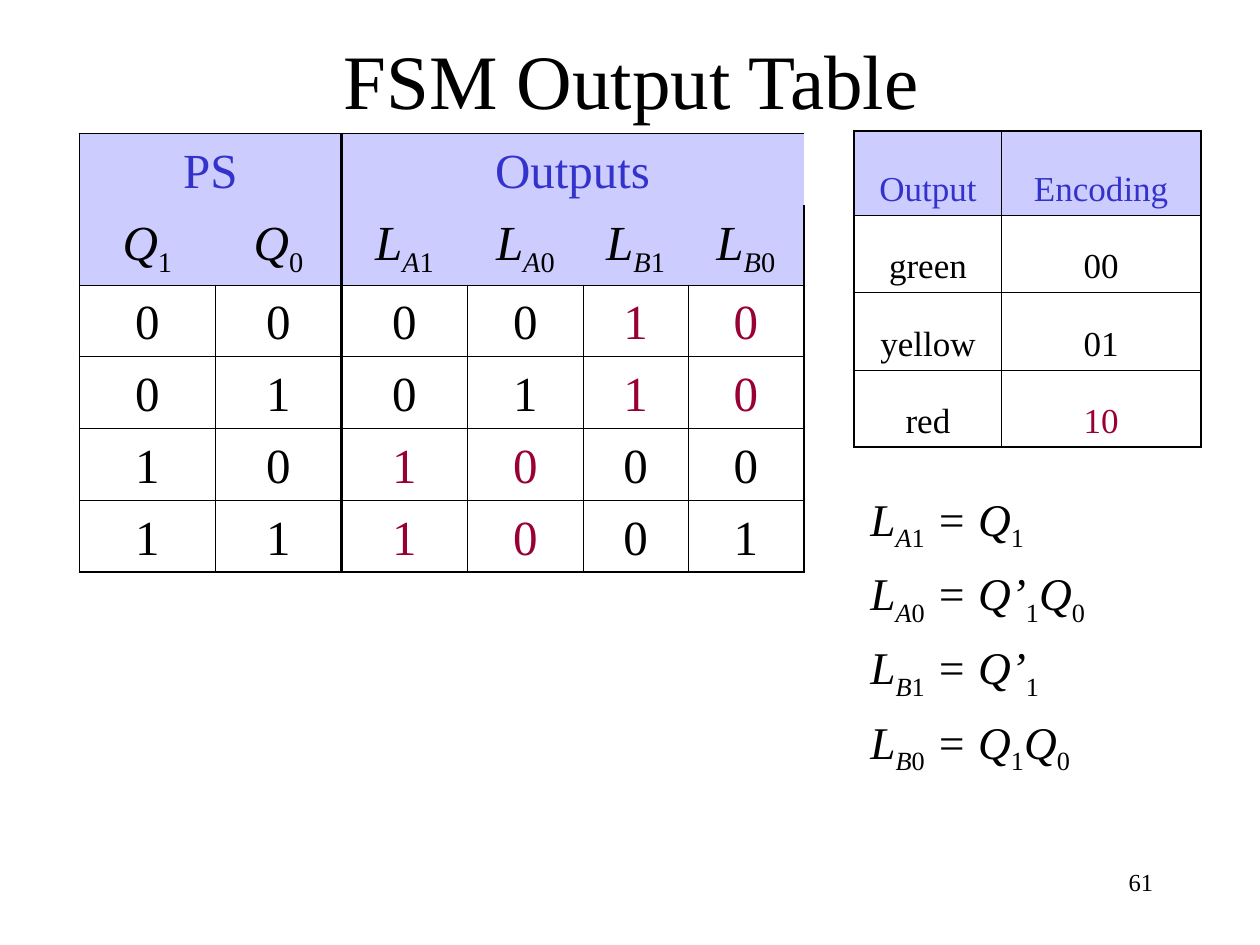
from itertools import groupby

from lxml import etree
from pptx import Presentation
from pptx.dml.color import RGBColor
from pptx.enum.text import MSO_ANCHOR, PP_ALIGN
from pptx.oxml.ns import qn
from pptx.util import Inches, Pt

LEFT, CENTER, RIGHT = PP_ALIGN.LEFT, PP_ALIGN.CENTER, PP_ALIGN.RIGHT
TOP, MIDDLE, BOTTOM = MSO_ANCHOR.TOP, MSO_ANCHOR.MIDDLE, MSO_ANCHOR.BOTTOM

FONT = "Times New Roman"
BLACK = RGBColor(0x00, 0x00, 0x00)
BLUE = RGBColor(0x33, 0x33, 0xCC)
LAVENDER = RGBColor(0xCC, 0xCC, 0xFF)
CRIMSON = RGBColor(0x99, 0x00, 0x33)

INNER, OUTER, DIVIDER = 0.45, 1.08, 1.47
RED_LIGHT = "10"

STATES = ["00", "01", "10", "11"]
LIGHTS = [("00", "10"), ("01", "10"), ("10", "00"), ("10", "01")]
ENCODING = [("Output", "Encoding"), ("green", "00"), ("yellow", "01"), ("red", RED_LIGHT)]
EQUATIONS = ["LA1 = Q1", "LA0 = Q’1Q0", "LB1 = Q’1", "LB0 = Q1Q0"]


def symbol_style(char):
    """Return (italic, subscript): digits and the letters A, B are indices."""
    return not char.isdigit(), char.isdigit() or char in "AB"


def write(frame, text, size, color=BLACK, align=LEFT, anchor=TOP, formula=False, gap=0):
    """Fill a text frame, one paragraph a line; gap is the space between them."""
    frame.word_wrap = True
    frame.vertical_anchor = anchor
    for index, line in enumerate(text.split("\n")):
        paragraph = frame.add_paragraph() if index else frame.paragraphs[0]
        paragraph.alignment = align
        paragraph.space_before = Pt(gap if index else 0)
        if formula:
            pieces = [(style, "".join(chars)) for style, chars in groupby(line, symbol_style)]
        else:
            pieces = [((False, False), line)]
        for (italic, subscript), piece in pieces:
            run = paragraph.add_run()
            run.text = piece
            run.font.name = FONT
            run.font.size = Pt(size)
            run.font.italic = italic
            run.font.color.rgb = color
            if subscript:
                run.font._element.set("baseline", "-25000")


def add_text(slide, left, top, width, height, text, **text_format):
    box = slide.shapes.add_textbox(Inches(left), Inches(top), Inches(width), Inches(height))
    write(box.text_frame, text, **text_format)


def set_border(cell, side, width):
    """Draw one side (L, R, T or B) of a cell; a width of 0 hides it."""
    line = etree.SubElement(cell._tc.get_or_add_tcPr(), qn(f"a:ln{side}"), w=str(Pt(width)))
    if width:
        fill = etree.SubElement(line, qn("a:solidFill"))
        etree.SubElement(fill, qn("a:srgbClr"), val=str(BLACK))
    else:
        etree.SubElement(line, qn("a:noFill"))


def add_grid(slide, left, top, columns, rows, header_rows=1, divider=None):
    """Add a ruled table; a header of several rows has no inner lines."""
    shape = slide.shapes.add_table(len(rows), len(columns), Inches(left), Inches(top),
                                   Inches(sum(columns)), Inches(sum(rows)))
    table = shape.table
    for column, width in zip(table.columns, columns):
        column.width = Inches(width)
    for row, height in zip(table.rows, rows):
        row.height = Inches(height)

    def edge(position, last, hidden):
        if position in (0, last):
            return OUTER
        return 0 if hidden else INNER

    for r in range(len(rows)):
        for c in range(len(columns)):
            cell = table.cell(r, c)
            bare = header_rows > 1 and r < header_rows
            for side, x in (("L", c), ("R", c + 1)):
                set_border(cell, side, DIVIDER if x == divider else edge(x, len(columns), bare))
            for side, y in (("T", r), ("B", r + 1)):
                set_border(cell, side, edge(y, len(rows), 0 < y < header_rows))
            if r < header_rows:
                cell.fill.solid()
                cell.fill.fore_color.rgb = LAVENDER
            else:
                cell.fill.background()
    return table


def write_cell(table, row, column, text, size, **text_format):
    cell = table.cell(row, column)
    write(cell.text_frame, text, size, align=CENTER, **text_format)
    cell.vertical_anchor = BOTTOM


def add_output_table(slide):
    size = 28
    table = add_grid(slide, 0.63, 1.06, [1.08, 1, 1, 0.92, 0.83, 0.92],
                     [0.57, 0.63] + [0.57] * len(STATES), header_rows=2, divider=2)
    for heading, first, last in (("PS", 0, 1), ("Outputs", 2, 5)):
        table.cell(0, first).merge(table.cell(0, last))
        write_cell(table, 0, first, heading, size, color=BLUE)
    for column, symbol in enumerate(["Q1", "Q0", "LA1", "LA0", "LB1", "LB0"]):
        write_cell(table, 1, column, symbol, size, formula=True)
    for row, (state, lights) in enumerate(zip(STATES, LIGHTS), start=2):
        bits = [(bit, BLACK) for bit in state]
        for light in lights:
            bits += [(bit, CRIMSON if light == RED_LIGHT else BLACK) for bit in light]
        for column, (bit, color) in enumerate(bits):
            write_cell(table, row, column, bit, size, color=color)


def add_encoding_table(slide):
    table = add_grid(slide, 6.78, 1.04, [1.17, 1.58], [0.67, 0.61, 0.62, 0.61])
    for row, entries in enumerate(ENCODING):
        for column, entry in enumerate(entries):
            color = BLUE if row == 0 else CRIMSON if entry == RED_LIGHT else BLACK
            write_cell(table, row, column, entry, 20, color=color)


def main():
    deck = Presentation()
    deck.slide_width, deck.slide_height = Inches(10), Inches(7.5)
    slide = deck.slides.add_slide(deck.slide_layouts[6])
    add_text(slide, 7.17, 6.83, 2.08, 0.5, "61", size=14, align=RIGHT)
    add_text(slide, 0.76, 0, 8.5, 1.25, "FSM Output Table", size=44, align=CENTER, anchor=MIDDLE)
    add_output_table(slide)
    add_encoding_table(slide)
    add_text(slide, 6.81, 3.85, 2.26, 2.44, "\n".join(EQUATIONS), size=25.9,
             formula=True, gap=7)
    deck.save("out.pptx")


if __name__ == "__main__":
    main()
